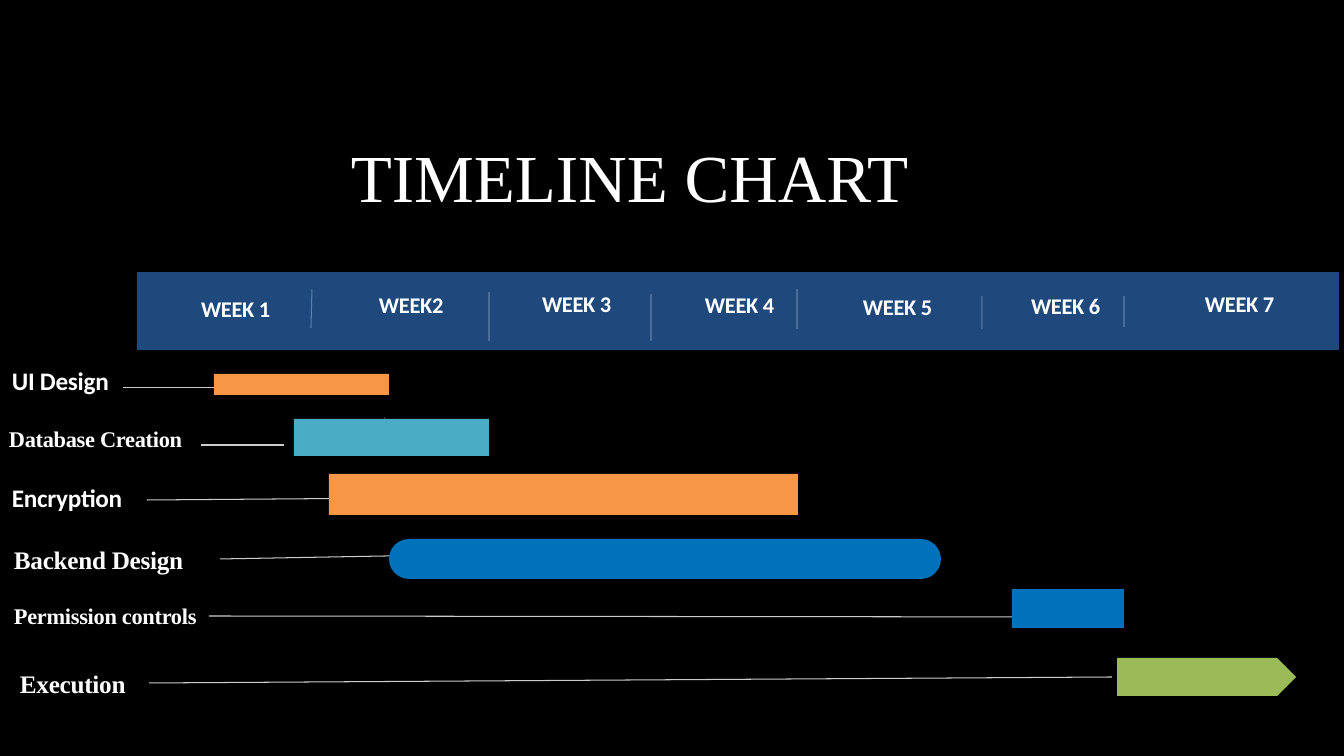
from typing import NamedTuple

from lxml import etree
from pptx import Presentation
from pptx.dml.color import RGBColor
from pptx.enum.shapes import MSO_CONNECTOR, MSO_SHAPE
from pptx.enum.text import MSO_ANCHOR, MSO_AUTO_SIZE
from pptx.oxml.ns import qn
from pptx.util import Emu, Pt

STRAIGHT = MSO_CONNECTOR.STRAIGHT
RECTANGLE = MSO_SHAPE.RECTANGLE
ROUNDED = MSO_SHAPE.ROUNDED_RECTANGLE
PENTAGON = MSO_SHAPE.PENTAGON
MIDDLE = MSO_ANCHOR.MIDDLE
GROW = MSO_AUTO_SIZE.SHAPE_TO_FIT_TEXT

EMU_PER_PX = 914400 / 100.8
SANS, SERIF = "Calibri", "Times New Roman"
COLORS = {
    "background": "000000", "text": "FFFFFF", "leader": "CCCCCC",
    "header": "1F497D", "orange": "F79646", "teal": "4BACC6",
    "blue": "0072BC", "green": "9BBB59",
}


class Task(NamedTuple):
    name: str
    font: str
    size: int
    label: tuple   # left, top, width, height
    leader: tuple  # start x, start y, end x, end y
    bar: tuple     # left, top, width, height
    shape: int
    color: str


TASKS = [
    Task("UI Design", SANS, 18, (12, 5, 182, 30), (123, 28, 238, 28),
         (214, 14, 175, 21), RECTANGLE, "orange"),
    Task("Database Creation", SERIF, 16, (9, 65, 175, 27), (201, 85, 284, 85),
         (294, 59, 195, 37), RECTANGLE, "teal"),
    Task("Encryption", SANS, 18, (12, 122, 175, 30), (147, 140, 406, 138),
         (329, 114, 469, 41), RECTANGLE, "orange"),
    Task("Backend Design", SERIF, 18, (14, 184, 207, 30), (220, 199, 440, 195),
         (389, 179, 552, 40), ROUNDED, "blue"),
    Task("Permission controls", SERIF, 16, (14, 242, 195, 27), (209, 256, 1095, 257),
         (1012, 229, 112, 39), RECTANGLE, "blue"),
    Task("Execution", SERIF, 18, (20, 308, 130, 30), (149, 323, 1112, 317),
         (1117, 298, 179, 38), PENTAGON, "green"),
]
WEEK_LABEL_WIDTH = 78
WEEKS = [  # name, left, top, height
    ("WEEK 1", 64, 25, 23),
    ("WEEK2", 242, 11, 43),
    ("WEEK 3", 405, 20, 24),
    ("WEEK 4", 568, 17, 32),
    ("WEEK 5", 726, 23, 23),
    ("WEEK 6", 894, -2, 72),
    ("WEEK 7", 1068, 18, 28),
]
WEEK_DIVIDERS = [
    (175, 17, 174, 56), (352, 20, 352, 69), (514, 22, 514, 69),
    (660, 17, 660, 57), (845, 24, 845, 57), (987, 24, 987, 55),
]
DATABASE_TICK = (385, 57, 385, 85)


def px(length):
    return Emu(round(length * EMU_PER_PX))


def place(origin, box):
    """Move a box by the origin and turn it into EMU."""
    left, top, width, height = box
    return px(origin[0] + left), px(origin[1] + top), px(width), px(height)


def color(name):
    return RGBColor.from_string(COLORS[name])


def add_line(slide, origin, ends, color_name, opacity=100):
    x, y = origin
    start_x, start_y, end_x, end_y = ends
    line = slide.shapes.add_connector(
        STRAIGHT, px(x + start_x), px(y + start_y), px(x + end_x), px(y + end_y))
    line.line.color.rgb = color(color_name)
    line.line.width = Pt(0.75)
    properties = line._element.spPr
    etree.SubElement(properties, qn("a:effectLst"))
    if opacity < 100:
        fill = properties.find(".//" + qn("a:srgbClr"))
        etree.SubElement(fill, qn("a:alpha"), val=str(opacity * 1000))


def add_block(slide, origin, box, kind, color_name):
    shape = slide.shapes.add_shape(kind, *place(origin, box))
    shape.shadow.inherit = False
    shape.fill.solid()
    shape.fill.fore_color.rgb = color(color_name)
    shape.line.fill.background()
    if kind == ROUNDED:
        shape.adjustments[0] = 0.5


def add_text(slide, origin, box, text, font, size):
    text_box = slide.shapes.add_textbox(*place(origin, box))
    frame = text_box.text_frame
    frame.text = text
    run = frame.paragraphs[0].runs[0]
    run.font.name = font
    run.font.size = Pt(size)
    run.font.color.rgb = color("text")
    return frame


def add_label(slide, origin, box, text, font, size, wrap):
    """Add bold, slightly condensed text without margins."""
    frame = add_text(slide, origin, box, text, font, size)
    frame.margin_left = frame.margin_right = 0
    frame.margin_top = frame.margin_bottom = 0
    frame.vertical_anchor = MIDDLE
    frame.word_wrap = wrap
    if wrap:
        frame.auto_size = GROW
    run = frame.paragraphs[0].runs[0]
    run.font.bold = True
    run._r.get_or_add_rPr().set("spc", "-20")


def add_title(slide, box):
    frame = add_text(slide, (0, 0), box, "TIMELINE CHART", SERIF, 48)
    frame.word_wrap = True
    frame.auto_size = GROW


def add_week_header(slide, box):
    origin = box[:2]
    add_block(slide, (0, 0), box, RECTANGLE, "header")
    for name, left, top, height in WEEKS:
        label_box = (left, top, WEEK_LABEL_WIDTH, height)
        add_label(slide, origin, label_box, name, SANS, 16, wrap=False)
    for divider in WEEK_DIVIDERS:
        add_line(slide, origin, divider, "text", opacity=30)


def add_tasks(slide, origin):
    for task in TASKS:
        add_line(slide, origin, task.leader, "leader")
    add_line(slide, origin, DATABASE_TICK, "text", opacity=30)
    for task in TASKS:
        add_block(slide, origin, task.bar, task.shape, task.color)
        add_label(slide, origin, task.label, task.name, task.font, task.size, wrap=True)


def main():
    presentation = Presentation()
    presentation.slide_width = px(1344)
    presentation.slide_height = px(756)
    slide = presentation.slides.add_slide(presentation.slide_layouts[6])
    slide.background.fill.solid()
    slide.background.fill.fore_color.rgb = color("background")
    add_tasks(slide, (0, 360))
    add_week_header(slide, (137, 272, 1202, 78))
    add_title(slide, (341, 130, 703, 92))
    presentation.save("out.pptx")


if __name__ == "__main__":
    main()
